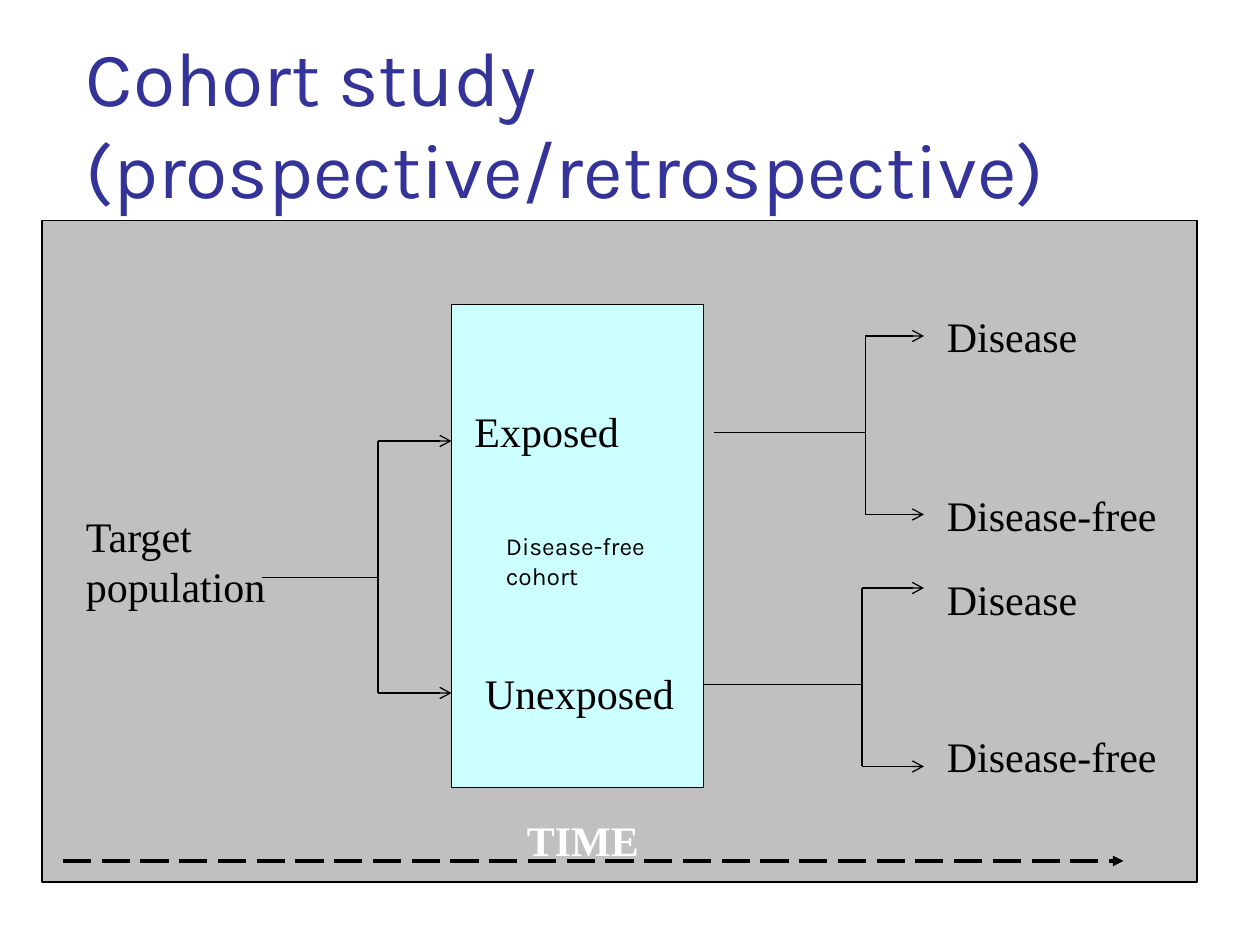
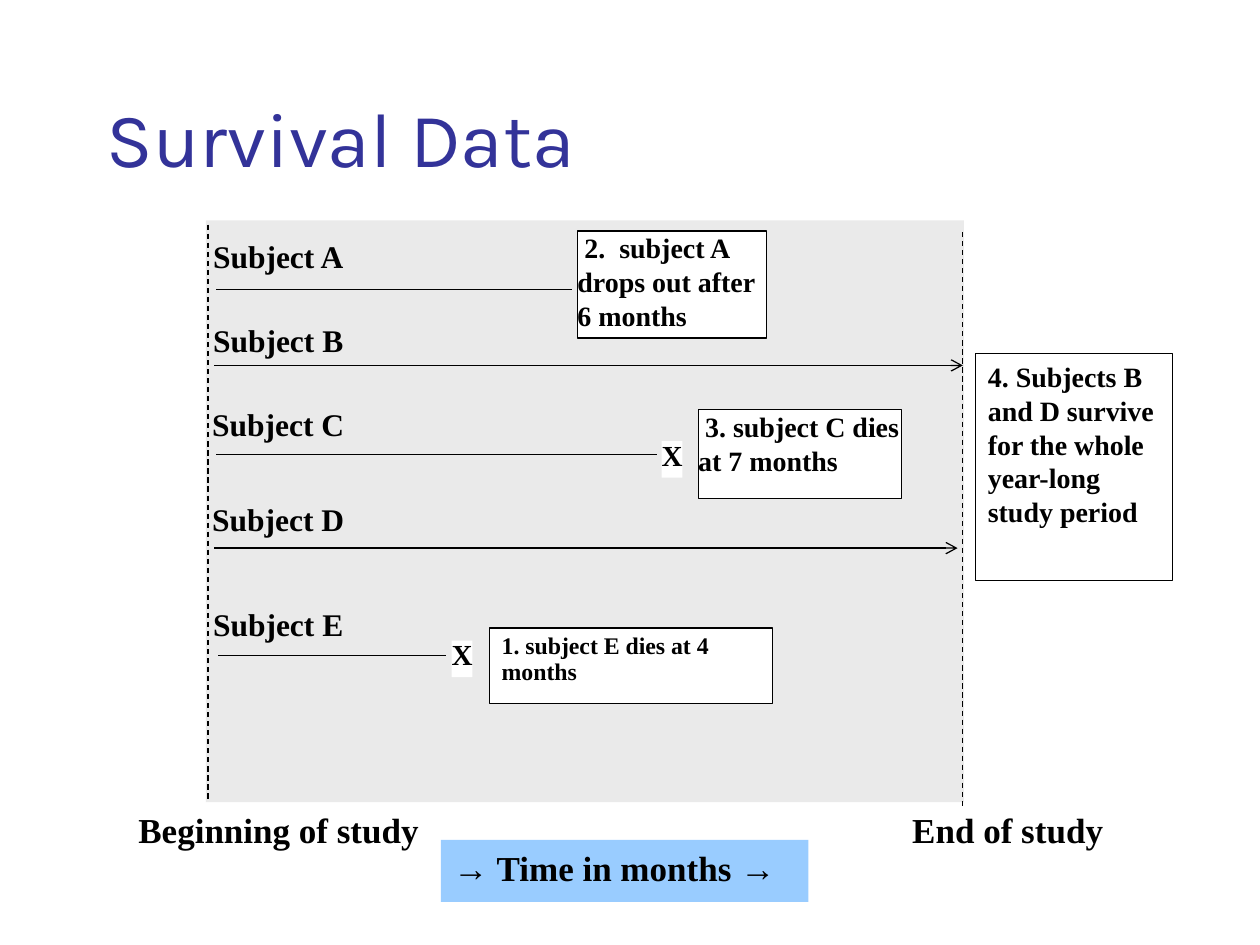
from dataclasses import dataclass

from lxml.etree import SubElement
from pptx import Presentation
from pptx.dml.color import RGBColor
from pptx.enum.dml import MSO_LINE
from pptx.enum.shapes import MSO_CONNECTOR, MSO_SHAPE
from pptx.enum.text import MSO_ANCHOR, PP_ALIGN
from pptx.oxml.ns import qn
from pptx.util import Inches, Pt

COLUMNS, ROWS = 120, 90
WIDTH, HEIGHT = Inches(10), Inches(7.5)
COLORS = {
    "title": "333399",
    "ink": "000000",
    "white": "FFFFFF",
    "diagram": "C0C0C0",
    "cohort": "CCFFFF",
    "study": "EAEAEA",
    "time": "99CCFF",
}
SANS, SERIF, ARROW_FONT = "Karla", "Times New Roman", "Arial"


@dataclass
class Box:
    left: float
    top: float
    width: float
    height: float

    def inner(self, column, row, width, height):
        return Box(self.left + column, self.top + row, width, height)

    def point(self, column, row):
        return across(self.left + column), down(self.top + row)

    def frame(self):
        return (across(self.left), down(self.top),
                across(self.width), down(self.height))


def across(columns):
    return round(WIDTH * columns / COLUMNS)


def down(rows):
    return round(HEIGHT * rows / ROWS)


def color(name):
    return RGBColor.from_string(COLORS[name])


def style_span(span, size, font=SERIF, ink="ink", bold=False):
    span.font.size = Pt(size)
    span.font.name = font
    span.font.bold = bold
    span.font.color.rgb = color(ink)


def write(shape, text, size, align=PP_ALIGN.LEFT, anchor=MSO_ANCHOR.TOP,
          spacing=None, inset=True, **style):
    frame = shape.text_frame
    frame.text = text
    frame.word_wrap = True
    frame.vertical_anchor = anchor
    if not inset:
        frame.margin_left = frame.margin_right = 0
        frame.margin_top = frame.margin_bottom = 0
    para = frame.paragraphs[0]
    para.alignment = align
    para.line_spacing = spacing
    for span in para.runs:
        style_span(span, size, **style)
    return para


def add_label(page, box, text, size, **style):
    return write(page.shapes.add_textbox(*box.frame()), text, size, **style)


def add_panel(page, box, fill, outlined=False):
    panel = page.shapes.add_shape(MSO_SHAPE.RECTANGLE, *box.frame())
    panel.shadow.inherit = False
    panel.fill.solid()
    panel.fill.fore_color.rgb = color(fill)
    if outlined:
        panel.line.color.rgb = color("ink")
        panel.line.width = Pt(0.75)
    else:
        panel.line.fill.background()
    return panel


def add_line(page, box, start, end, head=None, dash=None, width=0.75):
    line = page.shapes.add_connector(
        MSO_CONNECTOR.STRAIGHT, *box.point(*start), *box.point(*end))
    line.line.color.rgb = color("ink")
    line.line.width = Pt(width)
    if dash:
        line.line.dash_style = dash
    properties = line._element.spPr
    if head:
        SubElement(properties.find(qn("a:ln")), qn("a:tailEnd"), type=head)
    SubElement(properties, qn("a:effectLst"))


def add_title(page, box, text):
    add_label(page, box, text, 44, anchor=MSO_ANCHOR.BOTTOM,
              font=SANS, ink="title")


def add_fork(page, box, columns, stem_row, branch_rows):
    start, split, end = columns
    add_line(page, box, (start, stem_row), (split, stem_row))
    add_line(page, box, (split, branch_rows[1]), (split, branch_rows[0]))
    for row in branch_rows:
        add_line(page, box, (split, row), (end, row), head="arrow")


def draw_cohort_diagram(page, box):
    add_panel(page, box, "diagram", outlined=True)
    add_panel(page, box.inner(39, 8, 24, 46), "cohort", outlined=True)

    add_fork(page, box, (21, 32, 39), 34, (21, 45))
    add_fork(page, box, (64, 78.4, 84), 20.2, (11, 28))
    add_fork(page, box, (63, 78.1, 84), 44.2, (35, 52))

    groups = [
        ("Target population", 3, 27, 20, 10.2),
        ("Exposed", 40, 17, 20, 5.4),
        ("Unexposed", 41, 42, 21, 5.4),
    ]
    for text, *place in groups:
        add_label(page, box.inner(*place), text, 24)
    for index, row in enumerate((8, 25, 33, 48)):
        outcome = ("Disease", "Disease-free")[index % 2]
        add_label(page, box.inner(85, row, 23, 5.4), outcome, 24)
    add_label(page, box.inner(43, 29, 18, 6.8), "Disease-free cohort", 14,
              font=SANS)

    add_line(page, box, (2, 61), (103, 61), head="triangle",
             dash=MSO_LINE.LONG_DASH, width=2)
    add_label(page, box.inner(45, 56, 25, 5.4), "TIME", 24,
              ink="white", bold=True)


def add_note(page, box, text, size=16, **style):
    panel = add_panel(page, box, "white", outlined=True)
    write(panel, text, size, bold=True, **style)


def add_death_mark(page, box):
    mark = add_panel(page, box, "white")
    write(mark, "X", 16.6, spacing=0.9, inset=False, bold=True)


def draw_time_band(page, box):
    para = write(add_panel(page, box, "time"), "→", 20,
                 font=ARROW_FONT, bold=True)
    for text, font in ((" Time in months ", SERIF), ("→", ARROW_FONT)):
        span = para.add_run()
        span.text = text
        style_span(span, 20, font=font, bold=True)


def draw_study_period(page, box):
    add_panel(page, box, "study")
    for column, top, bottom in ((0.2, 0.4, 55.4), (72.1, 1.1, 56)):
        add_line(page, box, (column, top), (column, bottom),
                 dash=MSO_LINE.DASH)
    for text, column, width in (("Beginning of study", -7.6, 42),
                                ("End of study", 66.1, 30)):
        add_label(page, box.inner(column, 55.4, width, 8.9), text, 20,
                  bold=True)
    draw_time_band(page, box.inner(22.4, 59, 35, 5.9))


def draw_subjects(page, box):
    subjects = [
        ("A", 1, 6.6, 1, 34.9, None),
        ("B", 9, 13.8, 0.8, 72.1, "arrow"),
        ("C", 17, 22.3, 1, 43, None),
        ("D", 26, 31.2, 0.8, 71.6, "arrow"),
        ("E", 36, 41.4, 1.2, 22.9, None),
    ]
    for name, label_row, line_row, start, end, head in subjects:
        add_label(page, box.inner(-8.6, label_row, 31, 4.2),
                  f"Subject {name}", 18, align=PP_ALIGN.CENTER, bold=True)
        add_line(page, box, (start, line_row), (end, line_row), head=head)

    add_note(page, box.inner(35.4, 1, 18, 10.2),
             " 2.  subject A drops out after 6 months", inset=False)
    add_note(page, box.inner(46.9, 18, 19.4, 8.5),
             " 3. subject C dies at 7 months", inset=False)
    add_note(page, box.inner(73.3, 12.7, 18.8, 21.6),
             "4. Subjects B and D survive for the whole year-long study period")
    add_note(page, box.inner(27, 38.8, 27, 7.2),
             "1. subject E dies at 4 months", size=13.6, spacing=0.9)
    for column, row in ((43.4, 21), (23.4, 40)):
        add_death_mark(page, box.inner(column, row, 2, 3.5))


def build_cohort_slide(page):
    add_title(page, Box(7, 6, 102, 15),
              "Cohort study (prospective/retrospective)")
    draw_cohort_diagram(page, Box(4, 21, 110, 63))


def build_survival_slide(page):
    study = Box(19.6, 21, 72.2, 55.4)
    add_title(page, Box(9, 3, 102, 15), "Survival Data")
    draw_study_period(page, study)
    draw_subjects(page, study)


def main():
    deck = Presentation()
    deck.slide_width, deck.slide_height = WIDTH, HEIGHT
    for build in (build_cohort_slide, build_survival_slide):
        build(deck.slides.add_slide(deck.slide_layouts[6]))
    deck.save("out.pptx")


if __name__ == "__main__":
    main()
